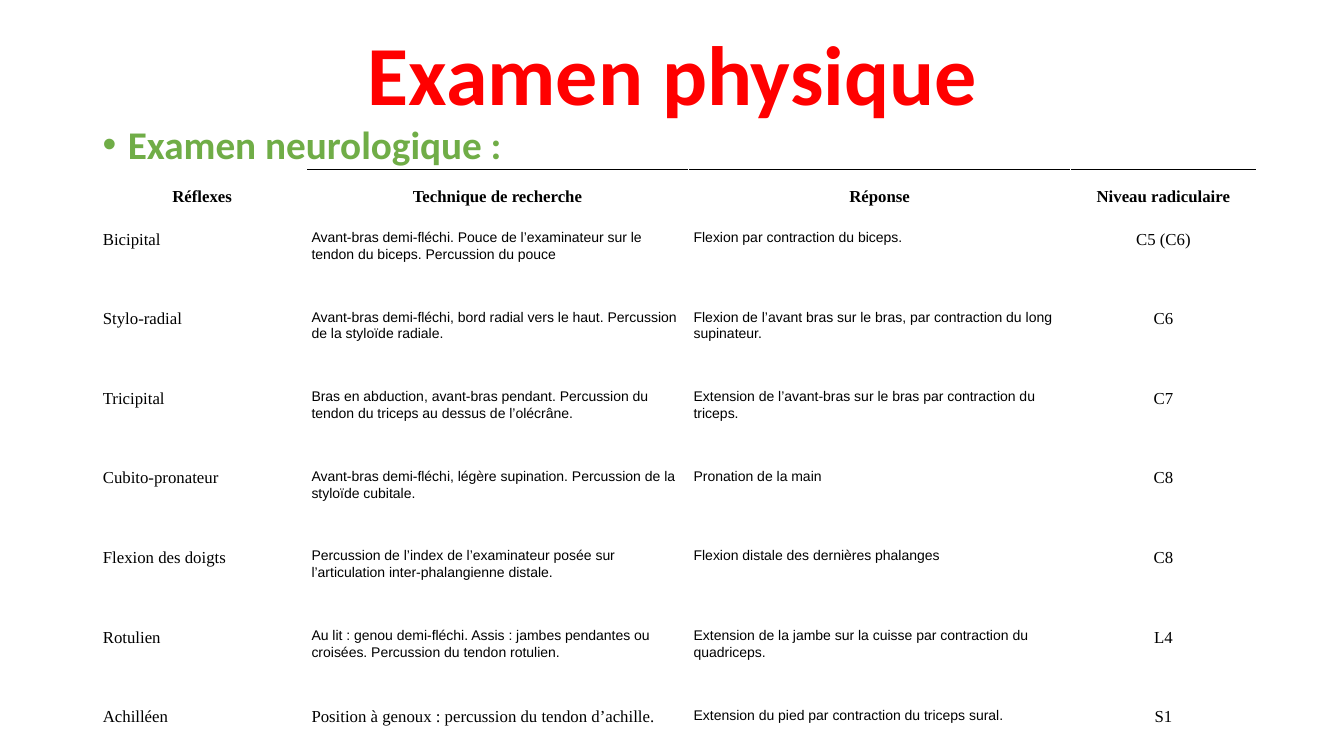
from lxml.etree import SubElement
from pptx import Presentation
from pptx.dml.color import RGBColor
from pptx.enum.text import MSO_ANCHOR, PP_ALIGN
from pptx.oxml import parse_xml
from pptx.oxml.ns import nsdecls, qn
from pptx.util import Inches, Pt

COLORS = {"title": "FF0000", "heading": "70AD47", "text": "000000", "background": "FFFFFF"}
SERIF = {"font": "Times New Roman", "size": 12}
SANS = {"font": "Arial", "size": 10}
COLUMN_WIDTHS = [2.07, 3.79, 3.79, 1.84]
ROW_HEIGHTS = [0.54] + [0.79] * 6 + [0.54]
HEADERS = ["Réflexes", "Technique de recherche", "Réponse", "Niveau radiculaire"]
REFLEXES = [
    ("Bicipital",
     "Avant-bras demi-fléchi. Pouce de l’examinateur sur le tendon du biceps. Percussion du pouce",
     "Flexion par contraction du biceps.", "C5 (C6)"),
    ("Stylo-radial",
     "Avant-bras demi-fléchi, bord radial vers le haut. Percussion de la styloïde radiale.",
     "Flexion de l’avant bras sur le bras, par contraction du long supinateur.", "C6"),
    ("Tricipital",
     "Bras en abduction, avant-bras pendant. Percussion du tendon du triceps au dessus de l’olécrâne.",
     "Extension de l’avant-bras sur le bras par contraction du triceps.", "C7"),
    ("Cubito-pronateur",
     "Avant-bras demi-fléchi, légère supination. Percussion de la styloïde cubitale.",
     "Pronation de la main", "C8"),
    ("Flexion des doigts",
     "Percussion de l’index de l’examinateur posée sur l’articulation inter-phalangienne distale.",
     "Flexion distale des dernières phalanges", "C8"),
    ("Rotulien",
     "Au lit : genou demi-fléchi. Assis : jambes pendantes ou croisées. Percussion du tendon rotulien.",
     "Extension de la jambe sur la cuisse par contraction du quadriceps.", "L4"),
    ("Achilléen",
     "Position à genoux : percussion du tendon d’achille.",
     "Extension du pied par contraction du triceps sural.", "S1"),
]


def write_text(frame, text, font="Calibri", size=12, color="text", bold=False,
               align=PP_ALIGN.LEFT, bullet=False):
    """Fill a text frame with one formatted paragraph."""
    para = frame.paragraphs[0]
    para.alignment = align
    para.line_spacing = 1.07
    if bullet:
        properties = para._p.get_or_add_pPr()
        properties.set("marL", str(Inches(0.25)))
        properties.set("indent", str(Inches(-0.25)))
        SubElement(properties, qn("a:buFont"), typeface="Arial")
        SubElement(properties, qn("a:buChar"), char="•")
    span = para.add_run()
    span.text = text
    span.font.name = font
    span.font.size = Pt(size)
    span.font.bold = bold
    span.font.color.rgb = RGBColor.from_string(COLORS[color])


def add_text(page, text, left, top, width, height, anchor=MSO_ANCHOR.TOP, bottom=0.05, **style):
    """Add a wrapping text box."""
    box = page.shapes.add_textbox(Inches(left), Inches(top), Inches(width), Inches(height))
    frame = box.text_frame
    frame.word_wrap = True
    frame.vertical_anchor = anchor
    frame.margin_bottom = Inches(bottom)
    write_text(frame, text, **style)


def add_top_border(cell):
    """Draw a thin line along the top of a cell."""
    border = parse_xml(
        f'<a:lnT {nsdecls("a")} w="{Pt(1)}"><a:solidFill>'
        f'<a:srgbClr val="{COLORS["text"]}"/></a:solidFill></a:lnT>')
    cell._tc.get_or_add_tcPr().insert(0, border)


def write_cell(cell, text, anchor=MSO_ANCHOR.TOP, **style):
    """Write one unfilled table cell."""
    cell.fill.background()
    cell.vertical_anchor = anchor
    cell.margin_left = cell.margin_right = Inches(0.05)
    cell.margin_top = cell.margin_bottom = Inches(0.05)
    write_text(cell.text_frame, text, **style)


def add_reflex_table(page, left, top):
    """Add the table of reflexes."""
    table = page.shapes.add_table(
        len(ROW_HEIGHTS), len(COLUMN_WIDTHS), Inches(left), Inches(top),
        Inches(sum(COLUMN_WIDTHS)), Inches(sum(ROW_HEIGHTS))).table
    table.first_row = table.horz_banding = False
    for column, width in zip(table.columns, COLUMN_WIDTHS):
        column.width = Inches(width)
    for row, height in zip(table.rows, ROW_HEIGHTS):
        row.height = Inches(height)
    for index, header in enumerate(HEADERS):
        cell = table.cell(0, index)
        write_cell(cell, header, MSO_ANCHOR.MIDDLE, bold=True, align=PP_ALIGN.CENTER, **SERIF)
        if index > 0:
            add_top_border(cell)
    for row_index, reflex in enumerate(REFLEXES, 1):
        for index, text in enumerate(reflex):
            in_serif = index in (0, 3) or (row_index == len(REFLEXES) and index == 1)
            align = PP_ALIGN.CENTER if index == 3 else PP_ALIGN.LEFT
            write_cell(table.cell(row_index, index), text, align=align,
                       **(SERIF if in_serif else SANS))


def main():
    """Build and save the slide."""
    deck = Presentation()
    deck.slide_width, deck.slide_height = Inches(13.33), Inches(7.5)
    page = deck.slides.add_slide(deck.slide_layouts[6])
    page.background.fill.solid()
    page.background.fill.fore_color.rgb = RGBColor.from_string(COLORS["background"])
    add_text(page, "Examen physique", 0.92, -0.16, 11.5, 1.45, MSO_ANCHOR.BOTTOM, 0.08,
             size=60, color="title", bold=True, align=PP_ALIGN.CENTER)
    add_text(page, "Examen neurologique :", 0.92, 1.11, 11.5, 6.39,
             size=28, color="heading", bold=True, bullet=True)
    add_reflex_table(page, 0.97, 1.68)
    deck.save("out.pptx")


if __name__ == "__main__":
    main()
